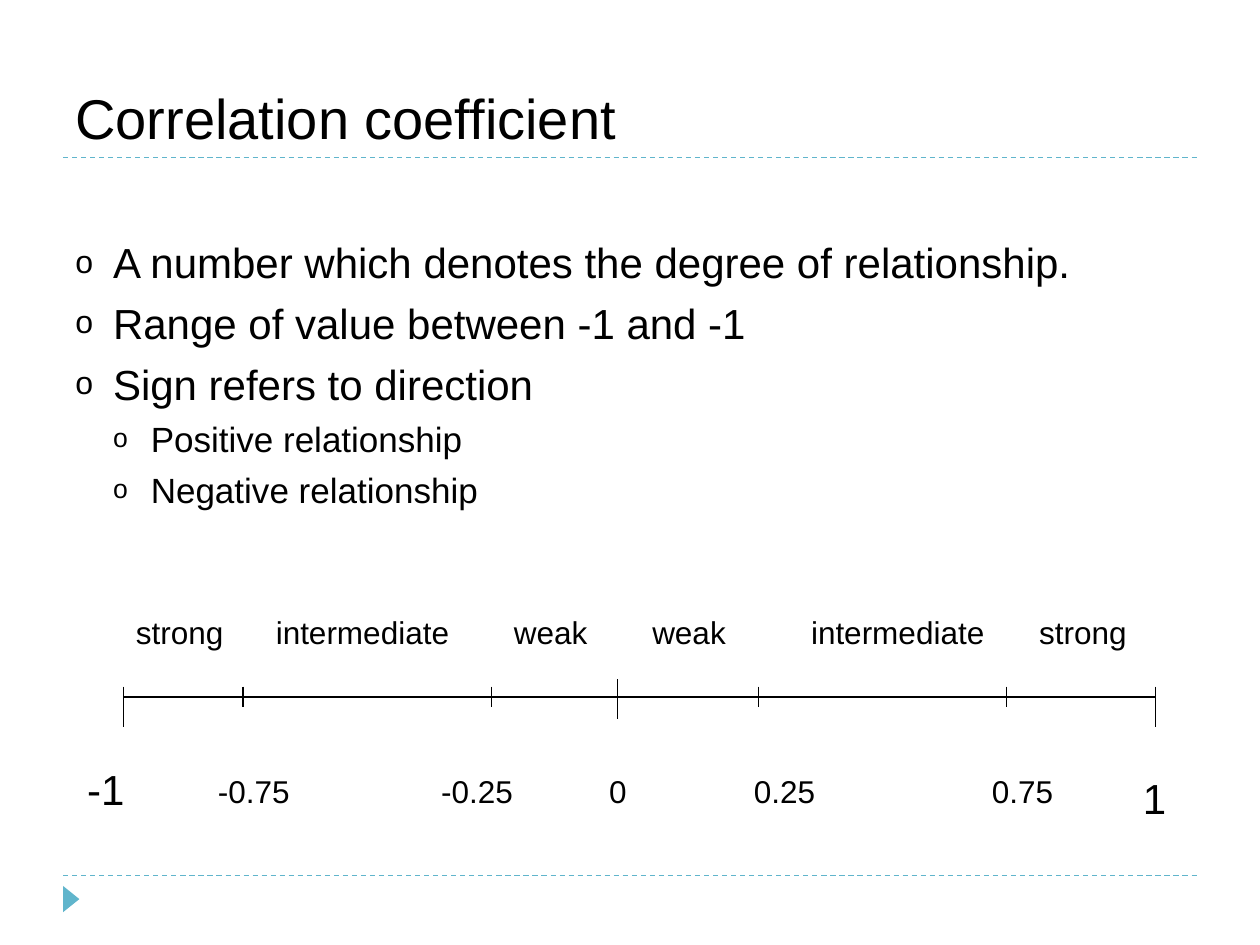
from dataclasses import dataclass
from typing import NamedTuple

from lxml.etree import SubElement
from pptx import Presentation
from pptx.dml.color import RGBColor
from pptx.enum.dml import MSO_LINE
from pptx.enum.shapes import MSO_CONNECTOR, MSO_SHAPE
from pptx.enum.text import MSO_ANCHOR, MSO_AUTO_SIZE, PP_ALIGN
from pptx.oxml.ns import qn
from pptx.slide import Slide
from pptx.text.text import _Paragraph
from pptx.util import Cm, Pt


@dataclass(frozen=True)
class Theme:
    font: str = "Arial"
    ink: str = "000000"
    accent: str = "60B5CC"
    title: int = 32
    body: int = 24
    detail: int = 20
    label: int = 18
    rule: float = 0.75


class Box(NamedTuple):
    left: float
    top: float
    width: float
    height: float


class Point(NamedTuple):
    text: str
    level: int = 0


class Tick(NamedTuple):
    x: float
    top: float
    bottom: float


class Label(NamedTuple):
    text: str
    box: Box
    size: int
    align: PP_ALIGN = PP_ALIGN.CENTER
    wrap: bool = True


THEME = Theme()
AXIS_Y, AXIS_START, AXIS_END = 14.05, 2.49, 23.29
TICK_TOP = 13.84
VALUE_TOP = 15.44

POINTS = [
    Point("A number which denotes the degree of relationship."),
    Point("Range of value between -1 and -1"),
    Point("Sign refers to direction"),
    Point("Positive relationship", 1),
    Point("Negative relationship", 1),
]
TICKS = [
    *(Tick(x, TICK_TOP, 14.66) for x in (AXIS_START, AXIS_END)),
    Tick(12.45, 13.69, 14.5),
    *(Tick(x, TICK_TOP, 14.25) for x in (4.9, 9.91, 15.29, 20.29)),
]
ZONE_WIDTHS = {"strong": 2.39, "intermediate": 4.39, "weak": 2.21}
ZONES = [("strong", 2.49), ("intermediate", 5.31), ("weak", 10.11),
         ("weak", 12.9), ("intermediate", 16.1), ("strong", 20.7)]
VALUES = [("-0.75", 4.01), ("-0.25", 8.51), ("0", 11.35), ("0.25", 14.71), ("0.75", 19.51)]
LABELS = [
    *(Label(text, Box(left, 12.24, ZONE_WIDTHS[text], 1.02), THEME.label, PP_ALIGN.LEFT)
      for text, left in ZONES),
    Label("-1", Box(1.5, 15.27, 1.27, 1.27), THEME.body, wrap=False),
    *(Label(text, Box(left, VALUE_TOP, 2.21, 1.02), THEME.label) for text, left in VALUES),
    Label("1", Box(22.78, VALUE_TOP, 0.99, 1.27), THEME.body, wrap=False),
]


def add_bullet(paragraph: _Paragraph, level: int) -> None:
    """Give the paragraph a hanging round bullet for its level."""
    paragraph.level = level
    paragraph.space_before = Pt(6 - level)
    properties = paragraph._p.get_or_add_pPr()
    properties.set("marL", str(Cm(0.76 * (level + 1))))
    properties.set("indent", str(Cm(-0.76)))
    SubElement(SubElement(properties, qn("a:buClr")), qn("a:srgbClr"), val=THEME.ink)
    SubElement(properties, qn("a:buSzPct"), val="76000")
    SubElement(properties, qn("a:buFont"), typeface=THEME.font)
    SubElement(properties, qn("a:buChar"), char="o")


def add_text(slide: Slide, points: list[Point], box: Box, *, sizes: tuple[int, ...],
             align: PP_ALIGN = PP_ALIGN.LEFT, anchor: MSO_ANCHOR = MSO_ANCHOR.TOP,
             wrap: bool = True, bullets: bool = False, grow: bool = False) -> None:
    """Write one paragraph per point, sized by its level."""
    frame = slide.shapes.add_textbox(*map(Cm, box)).text_frame
    frame.word_wrap = wrap
    frame.vertical_anchor = anchor
    frame.auto_size = MSO_AUTO_SIZE.SHAPE_TO_FIT_TEXT if grow else MSO_AUTO_SIZE.NONE
    for index, point in enumerate(points):
        paragraph = frame.add_paragraph() if index else frame.paragraphs[0]
        paragraph.alignment = align
        if bullets:
            add_bullet(paragraph, point.level)
        run = paragraph.add_run()
        run.text = point.text
        run.font.name = THEME.font
        run.font.size = Pt(sizes[point.level])
        run.font.color.rgb = RGBColor.from_string(THEME.ink)


def add_line(slide: Slide, start: tuple[float, float], end: tuple[float, float],
             color: str, dash: MSO_LINE | None = None) -> None:
    """Draw a thin straight line without a shadow."""
    line = slide.shapes.add_connector(MSO_CONNECTOR.STRAIGHT, *map(Cm, (*start, *end)))
    line.line.color.rgb = RGBColor.from_string(color)
    line.line.width = Pt(THEME.rule)
    line.line.dash_style = dash
    SubElement(line._element.spPr, qn("a:effectLst"))


def add_marker(slide: Slide, box: Box) -> None:
    """Draw the footer triangle pointing right."""
    marker = slide.shapes.add_shape(MSO_SHAPE.ISOSCELES_TRIANGLE, *map(Cm, box))
    marker.rotation = 90
    marker.shadow.inherit = False
    marker.fill.solid()
    marker.fill.fore_color.rgb = RGBColor.from_string(THEME.accent)
    marker.line.fill.background()


def main() -> None:
    """Build the correlation coefficient slide."""
    deck = Presentation()
    deck.slide_width, deck.slide_height = Cm(25.4), Cm(19.05)
    slide = deck.slides.add_slide(deck.slide_layouts[6])
    for y in (17.65, 3.18):
        add_line(slide, (1.27, y), (24.13, y), THEME.accent, MSO_LINE.DASH)
    add_marker(slide, Box(1.17, 17.96, 0.53, 0.33))
    add_text(slide, [Point("Correlation coefficient")], Box(1.27, 0.43, 22.66, 2.74),
             sizes=(THEME.title,), anchor=MSO_ANCHOR.BOTTOM)
    add_text(slide, POINTS, Box(1.27, 4.65, 23.5, 6.98),
             sizes=(THEME.body, THEME.detail), bullets=True)
    add_line(slide, (AXIS_START, AXIS_Y), (AXIS_END, AXIS_Y), THEME.ink)
    for tick in TICKS:
        add_line(slide, (tick.x, tick.top), (tick.x, tick.bottom), THEME.ink)
    for label in LABELS:
        add_text(slide, [Point(label.text)], label.box, sizes=(label.size,),
                 align=label.align, wrap=label.wrap, grow=True)
    deck.save("out.pptx")


if __name__ == "__main__":
    main()
